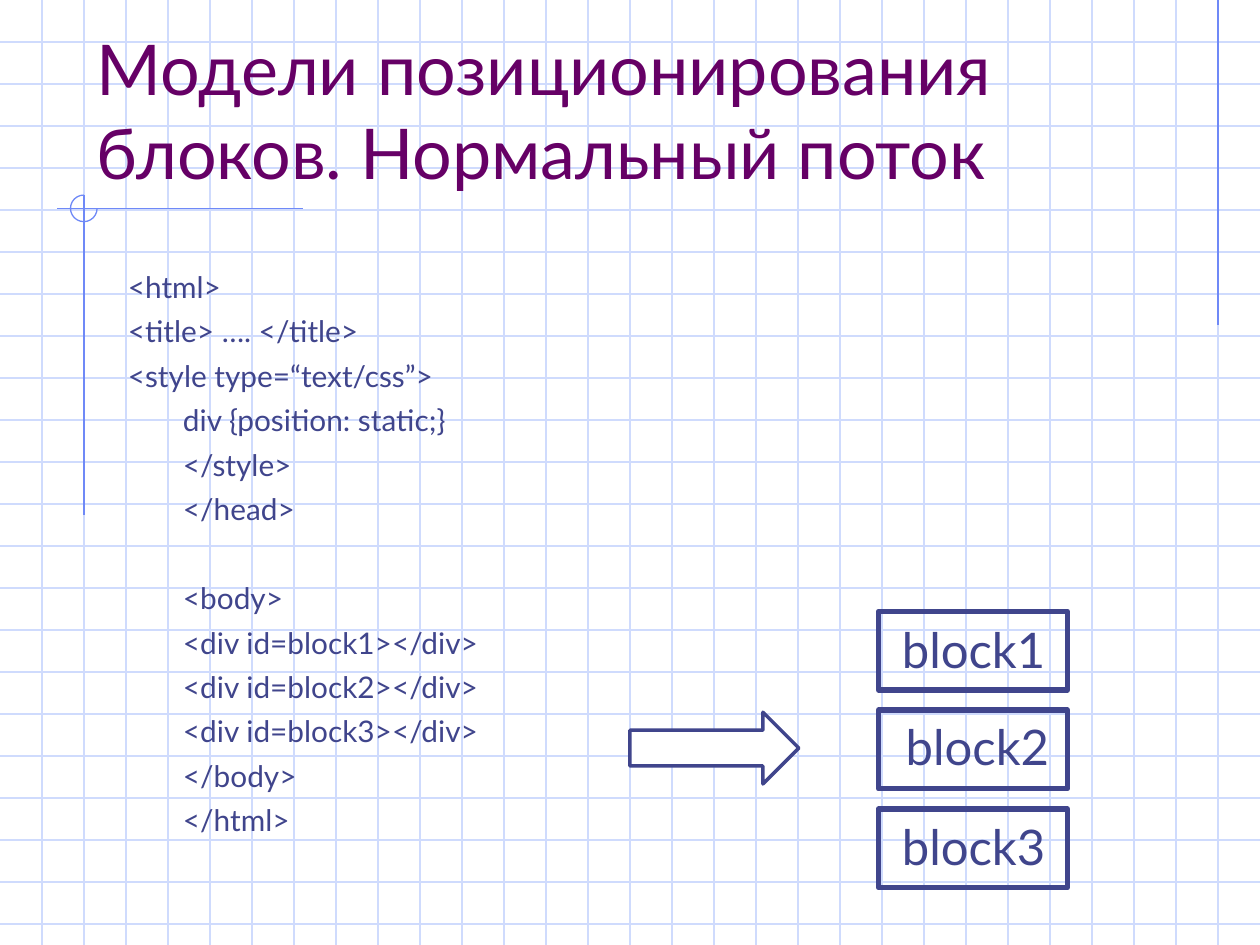
from lxml.etree import SubElement
from pptx import Presentation
from pptx.dml.color import RGBColor as Rgb
from pptx.enum.shapes import MSO_CONNECTOR as Link, MSO_SHAPE as Form
from pptx.enum.text import MSO_ANCHOR as Anchor
from pptx.oxml.ns import qn
from pptx.util import Pt

WIDE, HIGH, STEP = 720, 540, 24
HUES = {"grid": "CFDBFD", "rule": "6F89F7", "title": "660066",
        "ink": "40458C", "paper": "FFFFFF"}
CODE = [
    ("<html>", 0, 5), ("<title> …. </title>", 0, 5),
    ("<style type=“text/css”>", 0, 5), ("div {position: static;}", 1, 5),
    ("</style>", 1, 5), ("</head>", 1, 5), ("<body>", 1, 30.4),
    ("<div id=block1></div>", 1, 5), ("<div id=block2></div>", 1, 5),
    ("<div id=block3></div>", 1, 5), ("</body>", 1, 5), ("</html>", 1, 5),
]
RULES = [(696, 0, 696, 186), (173, 119.2, 32.5, 119.2), (48, 111.5, 48, 294.5)]
LABELS = [(508.3, 350.6), (510.5, 406.1), (508.3, 463)]


class Board:
    """Draws styled elements on the current slide."""

    def __init__(self, slide, font="Lato"):
        self.slide, self.font = slide, font

    def hue(self, name):
        return Rgb.from_string(HUES[name])

    def line(self, ends, hue):
        link = self.slide.shapes.add_connector(Link.STRAIGHT, *map(Pt, ends))
        link.line.color.rgb = self.hue(hue)
        link.line.width = Pt(0.75)
        SubElement(link._element.spPr, qn("a:effectLst"))

    def shape(self, form, area, hue, width, fill=None):
        item = self.slide.shapes.add_shape(form, *map(Pt, area))
        item.shadow.inherit = False
        item.line.color.rgb = self.hue(hue)
        item.line.width = Pt(width)
        if fill:
            item.fill.solid()
            item.fill.fore_color.rgb = self.hue(fill)
        else:
            item.fill.background()
        return item

    def text(self, area, rows, size, hue, anchor=Anchor.TOP):
        frame = self.slide.shapes.add_textbox(*map(Pt, area)).text_frame
        frame.word_wrap = True
        frame.vertical_anchor = anchor
        for i, (words, level, gap) in enumerate(rows):
            para = frame.add_paragraph() if i else frame.paragraphs[0]
            para.space_before = Pt(gap)
            if level:
                para._p.get_or_add_pPr().set("marL", str(Pt(31.5 * level)))
            run = para.add_run()
            run.text = words
            run.font.name, run.font.size = self.font, Pt(size)
            run.font.color.rgb = self.hue(hue)


def main():
    deck = Presentation()
    deck.slide_width, deck.slide_height = Pt(WIDE), Pt(HIGH)
    board = Board(deck.slides.add_slide(deck.slide_layouts[6]))

    for y in range(STEP, HIGH, STEP):
        board.line((0, y, WIDE, y), "grid")
    for x in range(STEP, WIDE, STEP):
        board.line((x, 0, x, HIGH), "grid")
    for ends in RULES:
        board.line(ends, "rule")
    arc = board.shape(Form.ARC, (40.3, 111.5, 15.2, 15.2), "rule", 0.75)
    arc.adjustments[0], arc.adjustments[1] = 0, 162

    title = "Модели позиционирования блоков. Нормальный поток"
    board.text((48, 24, 612, 90), [(title, 0, 0)], 40, "title", Anchor.BOTTOM)
    board.text((66, 150, 612, 324), CODE, 17, "ink")

    for i in range(len(LABELS)):
        board.shape(Form.RECTANGLE, (502, 349.3 + 56.5 * i, 108, 45), "ink", 3)
    for i, (x, y) in enumerate(LABELS, 1):
        board.text((x, y, 100, 41), [(f"block{i}", 0, 0)], 28, "ink")
    board.shape(Form.RIGHT_ARROW, (360, 407, 96.5, 41), "ink", 2, "paper")

    deck.save("out.pptx")


if __name__ == "__main__":
    main()
